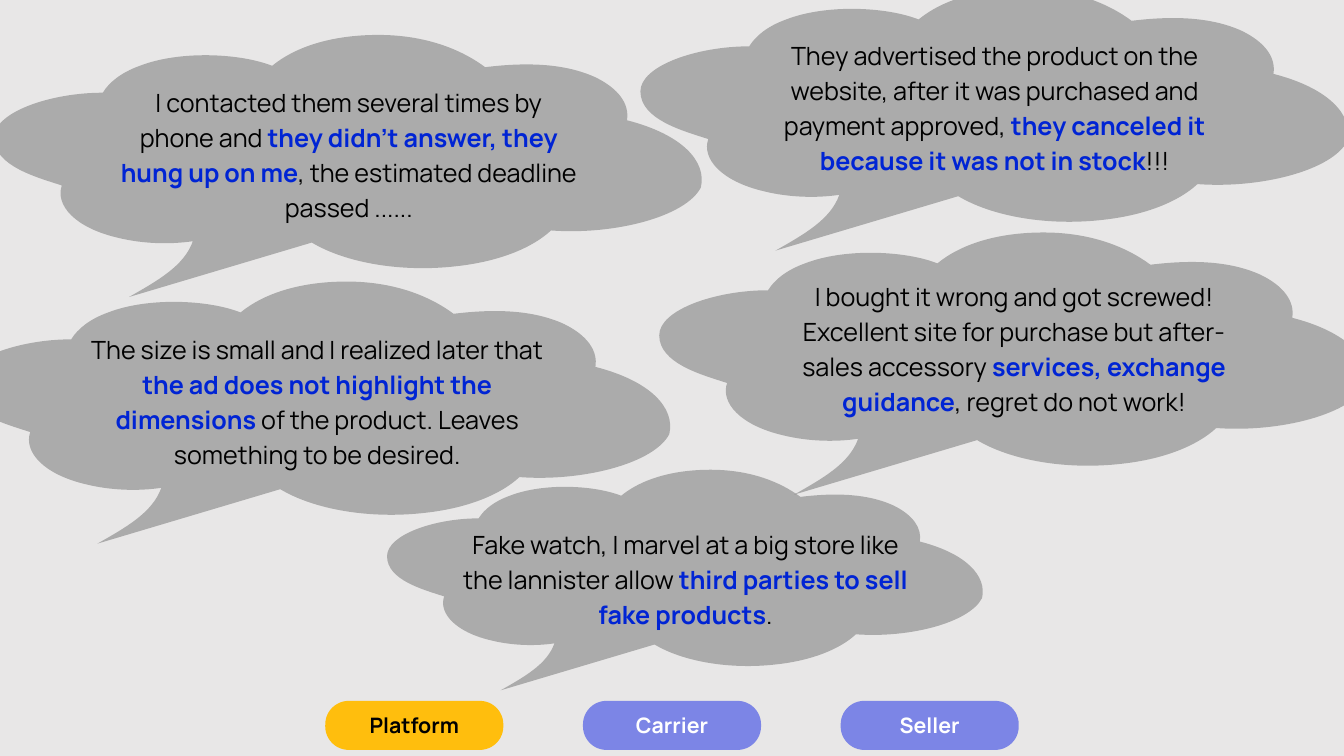
"""Build a slide of customer complaints in speech clouds above three category pills."""
import pptx
import pptx.util
import pptx.dml.color
import pptx.enum.shapes
import pptx.enum.text
import pptx.oxml.ns
from lxml import etree

Inches = pptx.util.Inches
Pt = pptx.util.Pt
RGBColor = pptx.dml.color.RGBColor
qn = pptx.oxml.ns.qn

BLACK = RGBColor(0x00, 0x00, 0x00)
WHITE = RGBColor(0xFF, 0xFF, 0xFF)
BLUE = RGBColor(0x00, 0x24, 0xD4)
LILAC = RGBColor(0x7C, 0x85, 0xE6)
AMBER = RGBColor(0xFF, 0xBE, 0x0D)
PAPER = RGBColor(0xE8, 0xE7, 0xE7)
FONT = "Manrope"

QUOTES = [
    {"cloud": (9.53, -0.17, 10.61), "box": (11.39, 0.53, 6.82, 2.09), "parts": (
        "They advertised the product on the website, after it was purchased and payment approved, ",
        "they canceled it because it was not in stock", "!!!")},
    {"cloud": (-0.09, 0.52, 10.61), "box": (1.78, 1.22, 6.82, 2.09), "parts": (
        "I contacted them several times by phone and ",
        "they didn't answer, they hung up on me", ", the estimated deadline passed ......")},
    {"cloud": (9.81, 3.46, 10.61), "box": (11.68, 4.11, 6.82, 2.09), "parts": (
        "I bought it wrong and got screwed! Excellent site for purchase but after-sales accessory ",
        "services, exchange guidance", ", regret do not work!")},
    {"cloud": (-0.56, 4.19, 10.61), "box": (1.31, 4.9, 6.82, 2.09), "parts": (
        "The size is small and I realized later that",
        " the ad does not highlight the dimensions ",
        "of the product. Leaves something to be desired.")},
    {"cloud": (5.76, 6.99, 8.93), "box": (6.79, 7.8, 6.82, 1.57), "parts": (
        "Fake watch, I marvel at a big store like the lannister allow ",
        "third parties to sell fake products", ".")},
]
PILLS = [("Platform", AMBER, BLACK), ("Carrier", LILAC, WHITE), ("Seller", LILAC, WHITE)]

SPAN = 10.61
START = (5.72, 0)
EDGES = [
    ((6.43, 0), (6.96, 0.22), (7.31, 0.48)),
    ((7.96, 0.4), (8.51, 0.43), (8.95, 0.63)),
    ((9.3, 0.8), (9.46, 1.03), (9.42, 1.27)),
    ((10.24, 1.48), (10.61, 1.88), (10.52, 2.27)),
    ((10.3, 2.7), (9.25, 2.98), (8.29, 2.91)),
    ((8.01, 3.17), (7.52, 3.37), (6.9, 3.44)),
    ((6.06, 3.54), (5.23, 3.39), (4.73, 3.09)),
    ((2.01, 3.9),),
    ((2.43, 3.66), (2.83, 3.44), (2.96, 3.07)),
    ((2.62, 3.12), (2.22, 3.11), (1.85, 3.02)),
    ((1.2, 2.87), (0.91, 2.53), (1.01, 2.24)),
    ((0.64, 2.12), (0, 1.95), (0, 1.53)),
    ((0, 1.15), (0.84, 0.86), (1.62, 0.86)),
    ((1.71, 0.71), (1.89, 0.56), (2.17, 0.46)),
    ((2.76, 0.23), (3.66, 0.27), (4.14, 0.46)),
    ((4.48, 0.18), (5.02, 0), START),
]


def paint(shape, color):
    """Give a shape a plain fill without line or shadow."""
    shape.shadow.inherit = False
    shape.fill.solid()
    shape.fill.fore_color.rgb = color
    shape.line.fill.background()


def bend(shape):
    """Join each run of three outline points into one curve."""
    lines = iter(list(shape._element.iter(qn("a:lnTo"))))
    for edge in EDGES:
        first, *rest = [next(lines) for _ in edge]
        if rest:
            first.tag = qn("a:cubicBezTo")
        for line in rest:
            first.append(line[0])
            line.getparent().remove(line)


def draw_cloud(slide, left, top, width):
    """Draw one translucent speech cloud."""
    def place(point):
        return tuple(Inches(base + width / SPAN * part) for base, part in zip((left, top), point))

    pen = slide.shapes.build_freeform(*place(START))
    pen.add_line_segments([place(point) for edge in EDGES for point in edge], close=True)
    cloud = pen.convert_to_shape()
    bend(cloud)
    paint(cloud, BLACK)
    tint = cloud._element.spPr.find(qn("a:solidFill")).find(qn("a:srgbClr"))
    etree.SubElement(tint, qn("a:alpha")).set("val", "26000")


def write(slide, parts, box, size=26.9, pitch=37.6):
    """Write centred runs given as (text, colour, bold)."""
    frame = slide.shapes.add_textbox(*map(Inches, box)).text_frame
    frame.word_wrap = True
    frame.auto_size = pptx.enum.text.MSO_AUTO_SIZE.SHAPE_TO_FIT_TEXT
    frame.margin_left = frame.margin_right = frame.margin_top = frame.margin_bottom = 0
    line = frame.paragraphs[0]
    line.alignment = pptx.enum.text.PP_ALIGN.CENTER
    line.line_spacing = Pt(pitch)
    for text, color, bold in parts:
        run = line.add_run()
        run.text = text
        run.font.name = FONT
        run.font.size = Pt(size)
        run.font.bold = bold
        run.font.color.rgb = color


def main():
    """Build and save the slide."""
    deck = pptx.Presentation()
    deck.slide_width, deck.slide_height = Inches(20), Inches(11.25)
    slide = deck.slides.add_slide(deck.slide_layouts[6])
    slide.background.fill.solid()
    slide.background.fill.fore_color.rgb = PAPER

    for quote in QUOTES:
        draw_cloud(slide, *quote["cloud"])
        styles = ((BLACK, False), (BLUE, True), (BLACK, False))
        parts = [(text, *style) for text, style in zip(quote["parts"], styles)]
        write(slide, parts, quote["box"])

    left, right, top, width, height = 4.84, 12.51, 10.43, 2.65, 0.73
    step = (right - left) / (len(PILLS) - 1)
    for i, (name, fill, ink) in enumerate(PILLS):
        x = left + i * step
        pill = slide.shapes.add_shape(
            pptx.enum.shapes.MSO_SHAPE.ROUNDED_RECTANGLE,
            *map(Inches, (x, top, width, height)))
        pill.adjustments[0] = 0.48
        paint(pill, fill)
        write(slide, [(name, ink, True)], (x + 0.38, top + 0.1, 1.89, 0.45), size=22.8, pitch=32)

    deck.save("out.pptx")


if __name__ == "__main__":
    main()
